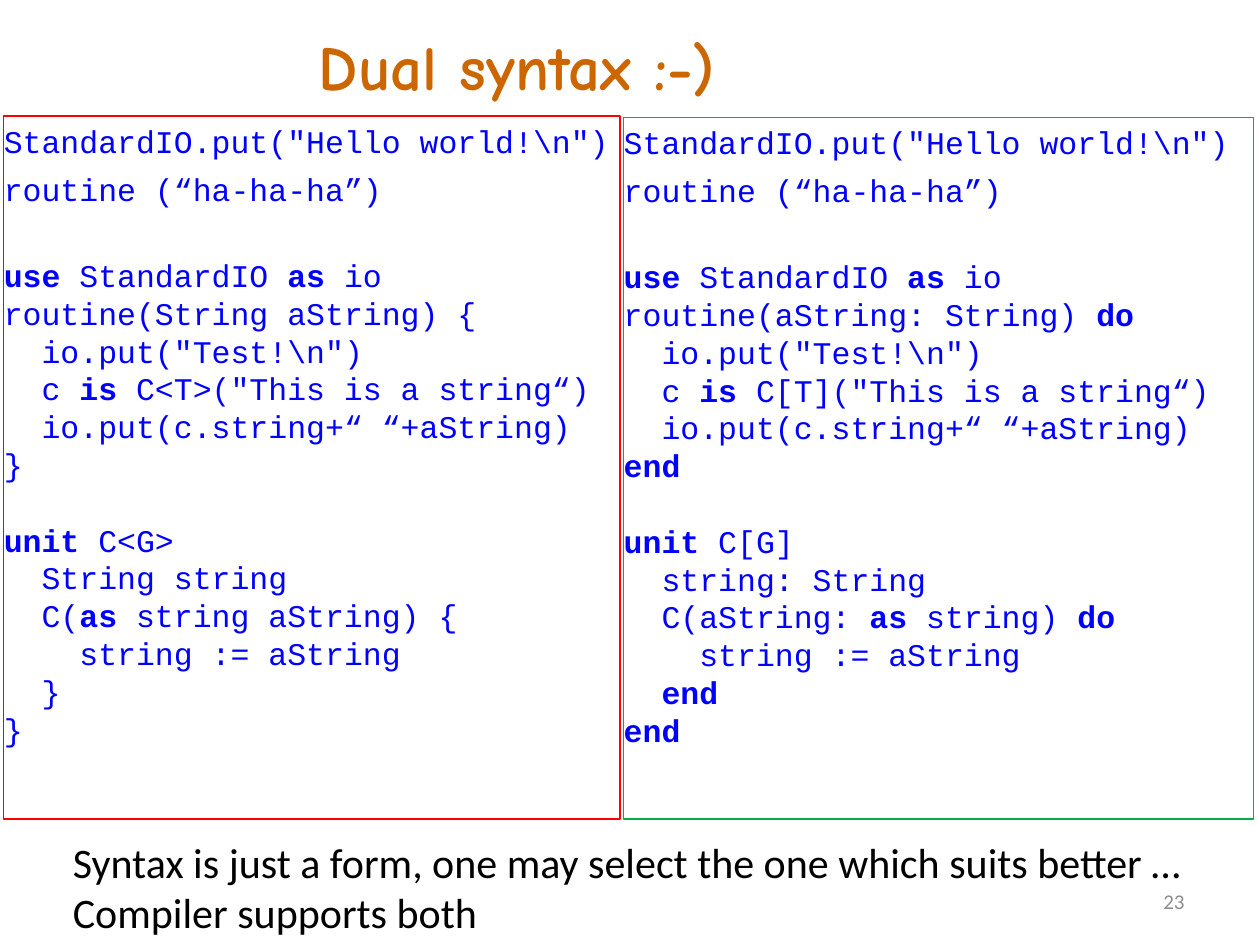
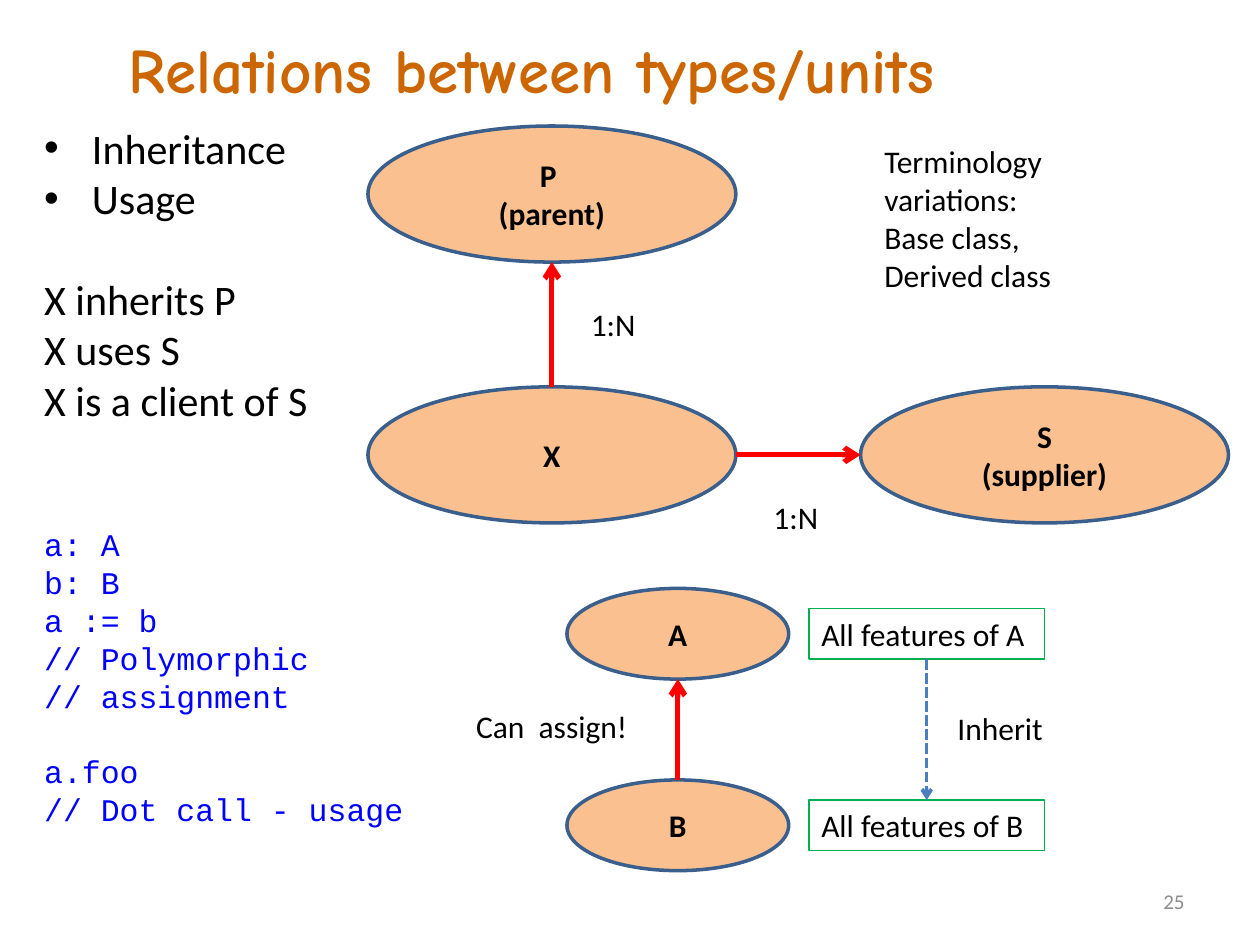
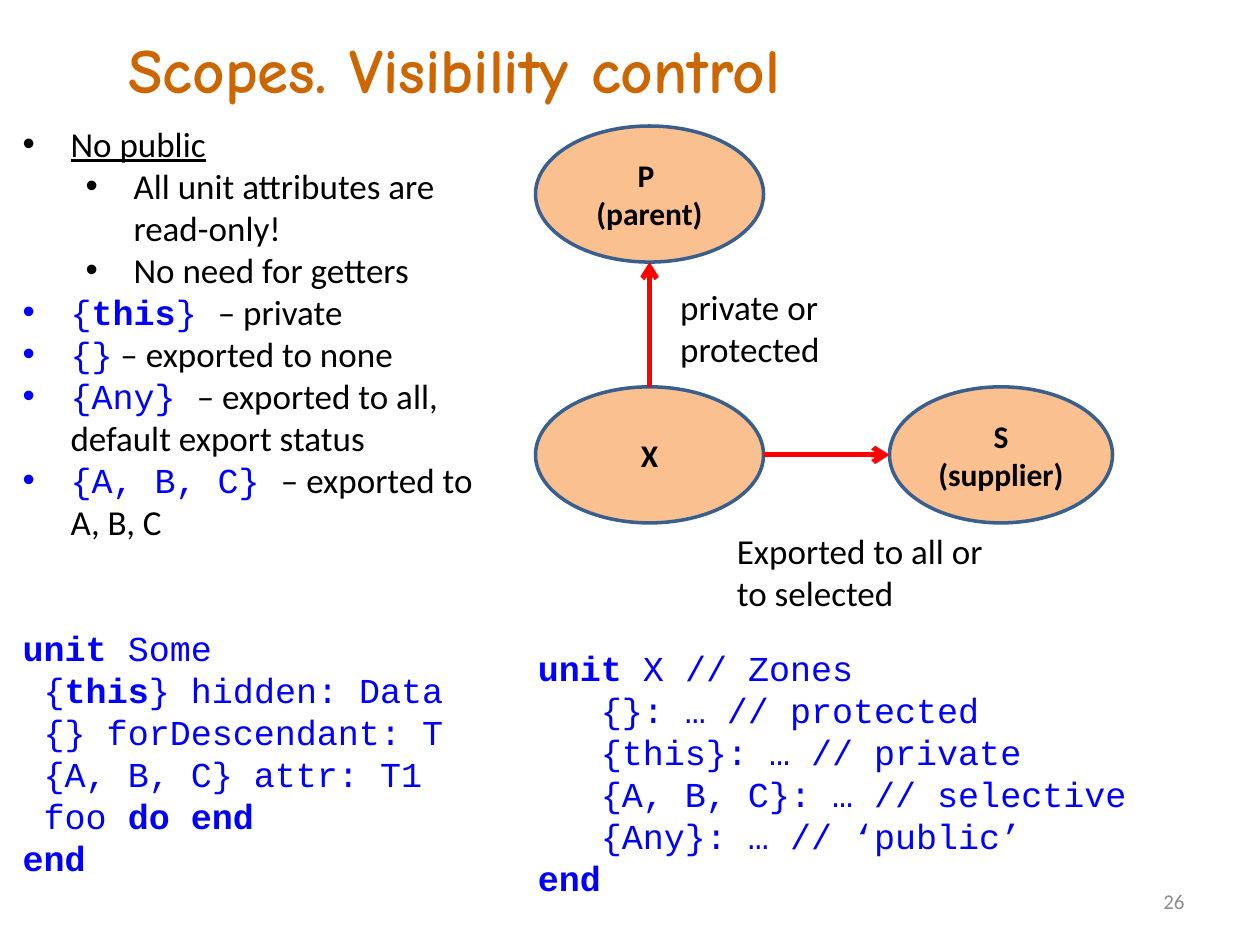
from dataclasses import dataclass, replace

from lxml import etree
from pptx import Presentation
from pptx.dml.color import RGBColor
from pptx.enum import dml, shapes, text
from pptx.oxml import ns
from pptx.util import Inches, Pt

BLACK, BLUE, ORANGE, GRAY = "000000", "0000FF", "CC6600", "8C8C8C"
PEACH, NAVY, STEEL, RED, GREEN = "FAC090", "3A5F8C", "4B7EBC", "FF0000", "00B050"
HANG = 0.38


@dataclass(frozen=True)
class Look:
    font: str
    size: int
    color: str
    bold: bool = False
    under: bool = False


HEAD = Look("Comic Neue", 36, ORANGE, bold=True)
BODY = Look("Calibri", 24, BLACK)
MID = replace(BODY, size=20)
NOTE = replace(BODY, size=18)
NODE = replace(NOTE, bold=True)
PAGE = Look("Calibri", 12, GRAY)
CODE = Look("Courier New", 18, BLUE)
BIG = replace(CODE, size=20)


@dataclass(frozen=True)
class Line:
    """One paragraph; *stars* mark bold, lead is code put before the text."""
    text: str
    look: Look
    gap: float = 0
    level: int | None = None
    lead: str = ""


@dataclass(frozen=True)
class Box:
    x: float
    y: float
    w: float
    h: float

    def place(self) -> tuple:
        return Inches(self.x), Inches(self.y), Inches(self.w), Inches(self.h)

    @property
    def mid(self) -> float:
        return self.x + self.w / 2

    @property
    def half(self) -> float:
        return self.y + self.h / 2


def rgb(color: str) -> RGBColor:
    return RGBColor.from_string(color)


def style(font, look: Look) -> None:
    font.name, font.size, font.bold = look.font, Pt(look.size), look.bold
    font.color.rgb = rgb(look.color)
    if look.under:
        font.underline = True


def add_runs(para, words: str, look: Look | None = None) -> None:
    for i, part in enumerate(words.split("*")):
        if not part:
            continue
        run = para.add_run()
        run.text = part
        if look:
            style(run.font, look)
        if i % 2:
            run.font.bold = True


def indent(para, level: int | None) -> None:
    props = para._p.get_or_add_pPr()
    if level is None:
        left, hang, tag = 0, 0, "a:buNone"
    else:
        para.level = level
        left, hang, tag = HANG + level / 2, -HANG, "a:buChar"
    props.set("marL", str(Inches(left)))
    props.set("indent", str(Inches(hang)))
    mark = etree.SubElement(props, ns.qn(tag))
    if level is not None:
        mark.set("char", "•")


def write(shape, lines: list[Line], align=text.PP_ALIGN.LEFT,
          anchor=text.MSO_ANCHOR.TOP) -> None:
    frame = shape.text_frame
    frame.word_wrap = True
    frame.auto_size = text.MSO_AUTO_SIZE.NONE
    frame.vertical_anchor = anchor
    for i, line in enumerate(lines):
        para = frame.add_paragraph() if i else frame.paragraphs[0]
        indent(para, line.level)
        para.alignment = align
        para.space_before = Pt(line.gap)
        style(para.font, line.look)
        add_runs(para, line.lead, replace(CODE, size=line.look.size))
        add_runs(para, line.text)


def listing(code: str, look: Look, gaps: dict[int, float] | None = None) -> list[Line]:
    """Turn code into lines; a blank line becomes space before the next."""
    lines, gap = [], 0.0
    for row in code.strip("\n").split("\n"):
        if not row:
            gap += look.size * 1.2
            continue
        lines.append(Line(row, look, gap + (gaps or {}).get(len(lines), 0)))
        gap = 0.0
    return lines


def move(shape, box: Box) -> None:
    shape.left, shape.top, shape.width, shape.height = box.place()


def note(slide, box: Box, lines: list[Line], **how) -> None:
    write(slide.shapes.add_textbox(*box.place()), lines, **how)


def start(deck, layout: int, title: str, box: Box, page: int):
    slide = deck.slides.add_slide(deck.slide_layouts[layout])
    move(slide.shapes.title, box)
    write(slide.shapes.title, [Line(title, HEAD)])
    note(slide, Box(8.92, 6.95, 0.58, 0.4), [Line(str(page), PAGE)],
         align=text.PP_ALIGN.RIGHT, anchor=text.MSO_ANCHOR.MIDDLE)
    return slide


def body(slide, box: Box, lines: list[Line], index: int = 1):
    shape = slide.placeholders[index]
    move(shape, box)
    write(shape, lines)
    return shape


def edge(shape, color: str, width: float) -> None:
    shape.line.color.rgb = rgb(color)
    shape.line.width = Pt(width)


def oval(slide, box: Box, *words: str) -> None:
    shape = slide.shapes.add_shape(shapes.MSO_SHAPE.OVAL, *box.place())
    shape.shadow.inherit = False
    shape.fill.solid()
    shape.fill.fore_color.rgb = rgb(PEACH)
    edge(shape, NAVY, 2)
    write(shape, [Line(w, NODE) for w in words],
          align=text.PP_ALIGN.CENTER, anchor=text.MSO_ANCHOR.MIDDLE)


def frame(slide, box: Box, words: str):
    shape = slide.shapes.add_shape(shapes.MSO_SHAPE.RECTANGLE, *box.place())
    shape.shadow.inherit = False
    shape.fill.background()
    edge(shape, GREEN, 0.75)
    write(shape, [Line(words, NOTE)])
    return shape


def arrow(slide, x1: float, y1: float, x2: float, y2: float,
          color: str = RED, width: float = 3):
    link = slide.shapes.add_connector(
        shapes.MSO_CONNECTOR.STRAIGHT, Inches(x1), Inches(y1), Inches(x2), Inches(y2))
    edge(link, color, width)
    etree.SubElement(link.line._get_or_add_ln(), ns.qn("a:tailEnd")).set("type", "arrow")
    etree.SubElement(link._element.spPr, ns.qn("a:effectLst"))
    return link


def rise(slide, low: Box, high: Box) -> None:
    """Arrow from the top of one oval up to the bottom of another."""
    arrow(slide, low.mid, low.y, high.mid, high.y + high.h)


def triad(slide, x: float, w: float, far: float, wide: float) -> None:
    """Unit X with its parent P above and its supplier S at the right."""
    unit, parent = Box(x, 3.07, w, 1.08), Box(x, 1, w, 1.08)
    other = Box(far, 3.07, wide, 1.08)
    oval(slide, unit, "X")
    oval(slide, parent, "P ", "(parent)")
    oval(slide, other, "S", "(supplier)")
    rise(slide, unit, parent)
    arrow(slide, x + w, unit.half, far, other.half)


BRACES = r"""
StandardIO.put("Hello world!\n")
routine (“ha-ha-ha”)

*use* StandardIO *as* io
routine(String aString) {
  io.put("Test!\n")
  c *is* C<T>("This is a string“)
  io.put(c.string+“ “+aString)
}

*unit* C<G>
  String string
  C(*as* string aString) {
    string := aString
  }
}
"""
WORDS = r"""
StandardIO.put("Hello world!\n")
routine (“ha-ha-ha”)

*use* StandardIO *as* io
routine(aString: String) *do*
  io.put("Test!\n")
  c *is* C[T]("This is a string“)
  io.put(c.string+“ “+aString)
*end*

*unit* C[G]
  string: String
  C(aString: *as* string) *do*
    string := aString
  *end*
*end*
"""
ASSIGN = """
a: A
b: B
a := b
// Polymorphic
// assignment

a.foo
// Dot call - usage
"""
SOME = """
*unit* Some
 {*this*} hidden: Data
 {} forDescendant: T
 {A, B, C} attr: T1
 foo *do end*
*end*
"""
ZONES = """
*unit* X // Zones
   {}: … // protected
   {this}: … // private
   {A, B, C}: … // selective
   {Any}: … // ‘public’
*end*
"""
TOP = Box(0.92, 0.19, 8.88, 0.64)


def syntax(deck) -> None:
    slide = start(deck, 3, "Dual syntax :-)", Box(2.43, 0.17, 5.74, 0.7), 23)
    panes = ((Box(0.03, 0.92, 4.89, 5.58), BRACES, RED),
             (Box(4.95, 0.93, 5, 5.57), WORDS, GREEN))
    for i, (box, code, color) in enumerate(panes, 1):
        pane = body(slide, box, listing(code, CODE, {1: 5.8, 2: 5.8}), i)
        pane.text_frame.margin_left = pane.text_frame.margin_right = 0
        edge(pane, color, 0.75)
    note(slide, Box(0.48, 6.59, 9, 0.91), [Line(
        "Syntax is just a form, one may select the one which suits better … "
        "Compiler supports both", BODY)])


def relations(deck) -> None:
    slide = start(deck, 1, "Relations between types/units", TOP, 25)
    body(slide, Box(0.25, 0.92, 3.08, 5.76), [
        Line("Inheritance", BODY, level=0),
        Line("Usage", BODY, level=0),
        Line("X inherits P", BODY, gap=28.8),
        Line("X uses S", BODY),
        Line("X is a client of S", BODY),
        *listing(ASSIGN, CODE, {0: 57.6}),
    ])
    triad(slide, 2.92, 2.92, 6.83, 2.92)

    base, heir = Box(4.5, 4.67, 1.76, 0.72), Box(4.5, 6.19, 1.76, 0.72)
    oval(slide, base, "A")
    oval(slide, heir, "B")
    rise(slide, heir, base)

    above = frame(slide, Box(6.42, 4.83, 1.87, 0.4), "All features of A")
    below = frame(slide, Box(6.42, 6.35, 1.87, 0.4), "All features of B")
    link = arrow(slide, 7.35, 5.23, 7.35, 6.35, STEEL, 2)
    link.line.dash_style = dml.MSO_LINE.SQUARE_DOT
    link.begin_connect(above, 2)
    link.end_connect(below, 0)

    for box, words in (
        (Box(4.59, 2.37, 0.58, 0.4), ["1:N"]),
        (Box(6.04, 3.9, 0.58, 0.4), ["1:N"]),
        (Box(3.68, 5.56, 1.5, 0.4), ["Can  assign!"]),
        (Box(7.5, 5.58, 1.25, 0.4), ["Inherit"]),
        (Box(6.92, 1.08, 2.33, 1.31),
         ["Terminology variations:", "Base class,", "Derived class"]),
    ):
        note(slide, box, [Line(w, NOTE) for w in words])


def scopes(deck) -> None:
    slide = start(deck, 1, "Scopes. Visibility control", TOP, 26)
    body(slide, Box(0.08, 0.92, 3.92, 6.16), [
        Line("No public", replace(MID, under=True), level=0),
        Line("All unit attributes are read-only!", MID, level=1),
        Line("No need for getters", MID, level=1),
        Line("– private", MID, level=0, lead="{*this*} "),
        Line(" – exported to none", MID, level=0, lead="{}"),
        Line("– exported to all, default export status", MID, level=0, lead="{Any} "),
        Line("– exported to A, B, C", MID, level=0, lead="{A, B, C} "),
        *listing(SOME, BIG, {0: 48}),
    ])
    triad(slide, 4.25, 1.81, 7.06, 1.77)
    note(slide, Box(5.3, 2.22, 1.87, 0.77), [Line("private or protected", MID)])
    note(slide, Box(5.75, 4.15, 2.58, 0.77),
         [Line("Exported to all or", MID), Line("to selected", MID)])
    note(slide, Box(4.17, 5.08, 5.5, 2.12), listing(ZONES, BIG))


def main() -> None:
    deck = Presentation()
    deck.slide_width, deck.slide_height = Inches(10), Inches(7.5)
    for build in (syntax, relations, scopes):
        build(deck)
    deck.save("out.pptx")


if __name__ == "__main__":
    main()
